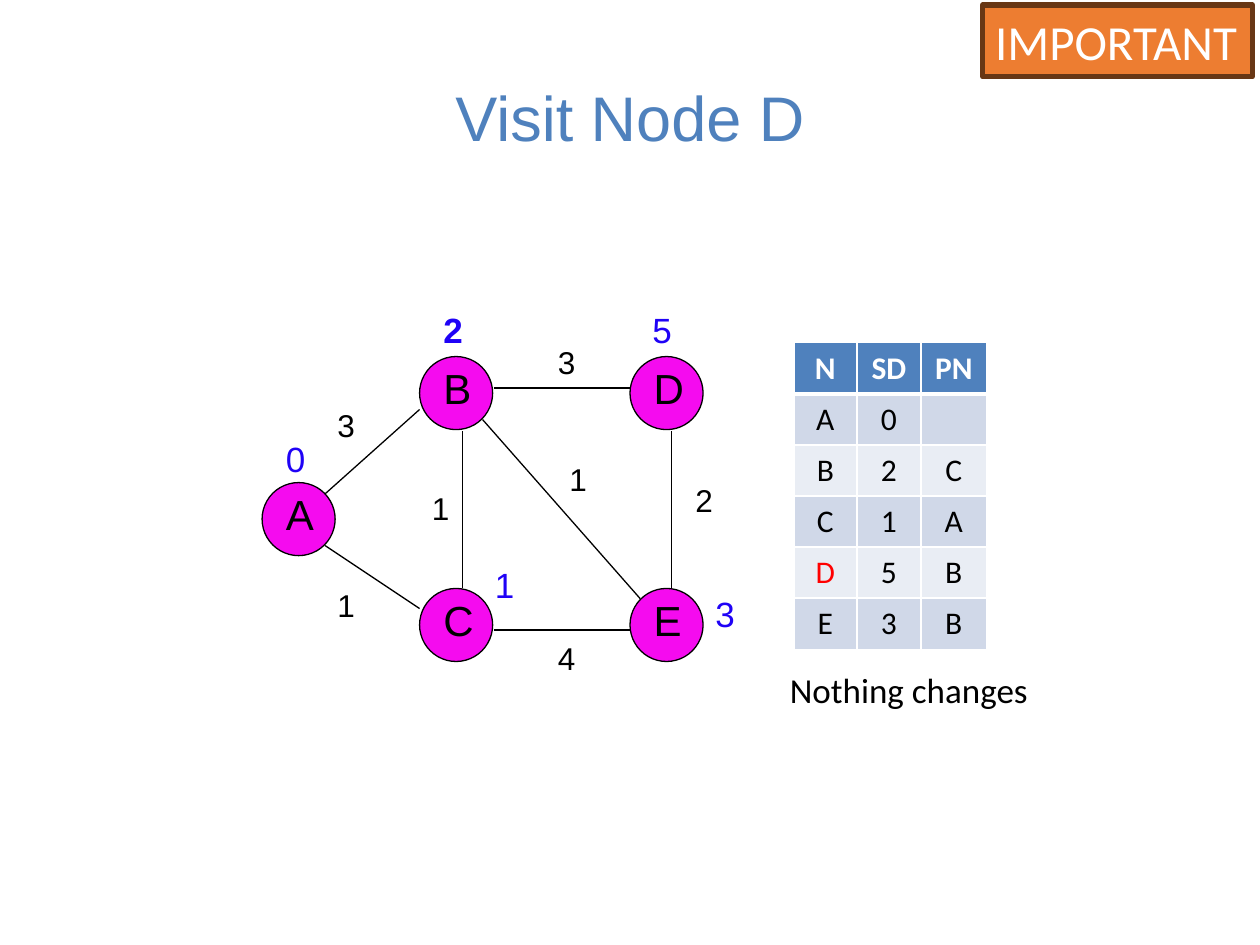
from dataclasses import dataclass

from lxml import etree
from pptx import Presentation
from pptx import util as u
from pptx.dml import color
from pptx.enum import shapes, text
from pptx.oxml import ns


@dataclass(frozen=True)
class Theme:
    blue: str = "4F81BD"
    white: str = "FFFFFF"
    black: str = "000000"
    red: str = "FF0000"
    node: str = "F50BEF"
    distance: str = "1F02F6"
    band_dark: str = "D0D8E8"
    band_light: str = "E9EDF4"
    badge: str = "ED7D31"
    badge_line: str = "683715"
    graph_font: str = "Arial"
    body_font: str = "Calibri"
    title_size: int = 36
    badge_size: int = 28
    node_size: int = 24
    note_size: int = 20
    small_size: int = 18


THEME = Theme()
NODE_DIAMETER = 0.58
NODES = {"A": (2.08, 3.83), "B": (3.33, 2.83), "C": (3.33, 4.67),
         "E": (5, 4.67), "D": (5, 2.83)}
EDGES = [
    ((2.58, 3.92), (3.33, 3.25), "3", (2.58, 3.17)),
    ((2.58, 4.33), (3.33, 4.83), "1", (2.58, 4.6)),
    ((3.92, 5), (5, 5), "4", (4.33, 5.02)),
    ((5.33, 4.67), (5.33, 3.42), "2", (5.42, 3.77)),
    ((3.67, 4.67), (3.67, 3.42), "1", (3.33, 3.83)),
    ((3.92, 3.08), (5, 3.08), "3", (4.33, 2.67)),
    ((3.83, 3.33), (5.08, 4.75), "1", (4.42, 3.6)),
]
DISTANCES = [("2", (3.42, 2.4), True), ("5", (5.08, 2.4), False),
             ("3", (5.58, 4.65), False), ("1", (3.83, 4.42), False),
             ("0", (2.17, 3.42), False)]
ROWS = [("N", "SD", "PN"), ("A", "0", ""), ("B", "2", "C"),
        ("C", "1", "A"), ("D", "5", "B"), ("E", "3", "B")]


def rgb(value):
    return color.RGBColor.from_string(value)


def inches(*values):
    return [u.Inches(value) for value in values]


def write(frame, words, font, size, shade, bold=False, align=None):
    frame.text = words
    para = frame.paragraphs[0]
    para.alignment = align
    for span in para.runs:
        span.font.name = font
        span.font.size = u.Pt(size)
        span.font.bold = bold
        span.font.color.rgb = rgb(shade)


def add_label(parent, words, place, extent, font, size, shade, bold=False, wrap=True):
    box = parent.add_textbox(*inches(*place, *extent))
    box.text_frame.word_wrap = wrap
    write(box.text_frame, words, font, size, shade, bold)


def add_filled(parent, preset, place, extent, fill, line, width):
    shape = parent.add_shape(preset, *inches(*place, *extent))
    shape.shadow.inherit = False
    shape.fill.solid()
    shape.fill.fore_color.rgb = rgb(fill)
    shape.line.color.rgb = rgb(line)
    shape.line.width = u.Pt(width)
    return shape


def add_node(slide, name, place):
    group = slide.shapes.add_group_shape()
    add_filled(group.shapes, shapes.MSO_SHAPE.OVAL, place,
               (NODE_DIAMETER, NODE_DIAMETER), THEME.node, THEME.black, 0.75)
    left, top = place
    add_label(group.shapes, name, (left + 0.09, top), (0.5, 0.5),
              THEME.graph_font, THEME.node_size, THEME.black)


def add_edge(slide, start, end):
    edge = slide.shapes.add_connector(shapes.MSO_CONNECTOR.STRAIGHT,
                                      *inches(*start, *end))
    edge.line.color.rgb = rgb(THEME.black)
    edge.line.width = u.Pt(0.75)
    etree.SubElement(edge._element.spPr, ns.qn("a:effectLst"))


def set_borders(cell, bottom):
    properties = cell._tc.get_or_add_tcPr()
    widths = {"lnL": 1, "lnR": 1, "lnT": 1, "lnB": bottom}
    for position, (side, width) in enumerate(widths.items()):
        line = etree.Element(ns.qn(f"a:{side}"), w=str(u.Pt(width)))
        fill = etree.SubElement(line, ns.qn("a:solidFill"))
        etree.SubElement(fill, ns.qn("a:srgbClr"), val=THEME.white)
        properties.insert(position, line)


def add_distance_table(slide):
    frame = slide.shapes.add_table(len(ROWS), 3, *inches(6.3, 2.72, 1.53, 2.43))
    table = frame.table
    for column, width in zip(table.columns, (0.5, 0.51, 0.52)):
        column.width = u.Inches(width)
    for index, values in enumerate(ROWS):
        header = index == 0
        band = THEME.band_dark if index % 2 else THEME.band_light
        for column, value in enumerate(values):
            cell = table.cell(index, column)
            cell.fill.solid()
            cell.fill.fore_color.rgb = rgb(THEME.blue if header else band)
            visited = value == "D"
            shade = THEME.white if header else THEME.red if visited else THEME.black
            write(cell.text_frame, value, THEME.body_font, THEME.small_size,
                  shade, header, text.PP_ALIGN.CENTER)
            set_borders(cell, 3 if index < 1 else 1)


def add_title(slide):
    title = slide.shapes.title
    title.left, title.top, title.width, title.height = inches(0.5, 0.3, 9, 1.25)
    title.text_frame.vertical_anchor = text.MSO_ANCHOR.MIDDLE
    write(title.text_frame, "Visit Node D", THEME.graph_font, THEME.title_size,
          THEME.blue, align=text.PP_ALIGN.CENTER)


def add_badge(slide):
    badge = add_filled(slide.shapes, shapes.MSO_SHAPE.RECTANGLE, (7.8, 0.04),
                       (2.14, 0.57), THEME.badge, THEME.badge_line, 3)
    badge.text_frame.word_wrap = False
    write(badge.text_frame, "IMPORTANT", THEME.body_font, THEME.badge_size,
          THEME.white, align=text.PP_ALIGN.LEFT)


def main():
    deck = Presentation()
    deck.slide_width, deck.slide_height = inches(10, 7.5)
    slide = deck.slides.add_slide(deck.slide_layouts[5])
    add_title(slide)
    add_distance_table(slide)
    add_label(slide.shapes, "Nothing changes", (6.17, 5.26), (2.11, 0.44),
              THEME.body_font, THEME.note_size, THEME.black, wrap=False)
    for name, place in NODES.items():
        add_node(slide, name, place)
    for start, end, weight, place in EDGES:
        add_edge(slide, start, end)
        add_label(slide.shapes, weight, place, (0.58, 0.4),
                  THEME.graph_font, THEME.small_size, THEME.black)
    for distance, place, bold in DISTANCES:
        add_label(slide.shapes, distance, place, (0.58, 0.43),
                  THEME.graph_font, THEME.note_size, THEME.distance, bold)
    add_badge(slide)
    deck.save("out.pptx")


if __name__ == "__main__":
    main()
